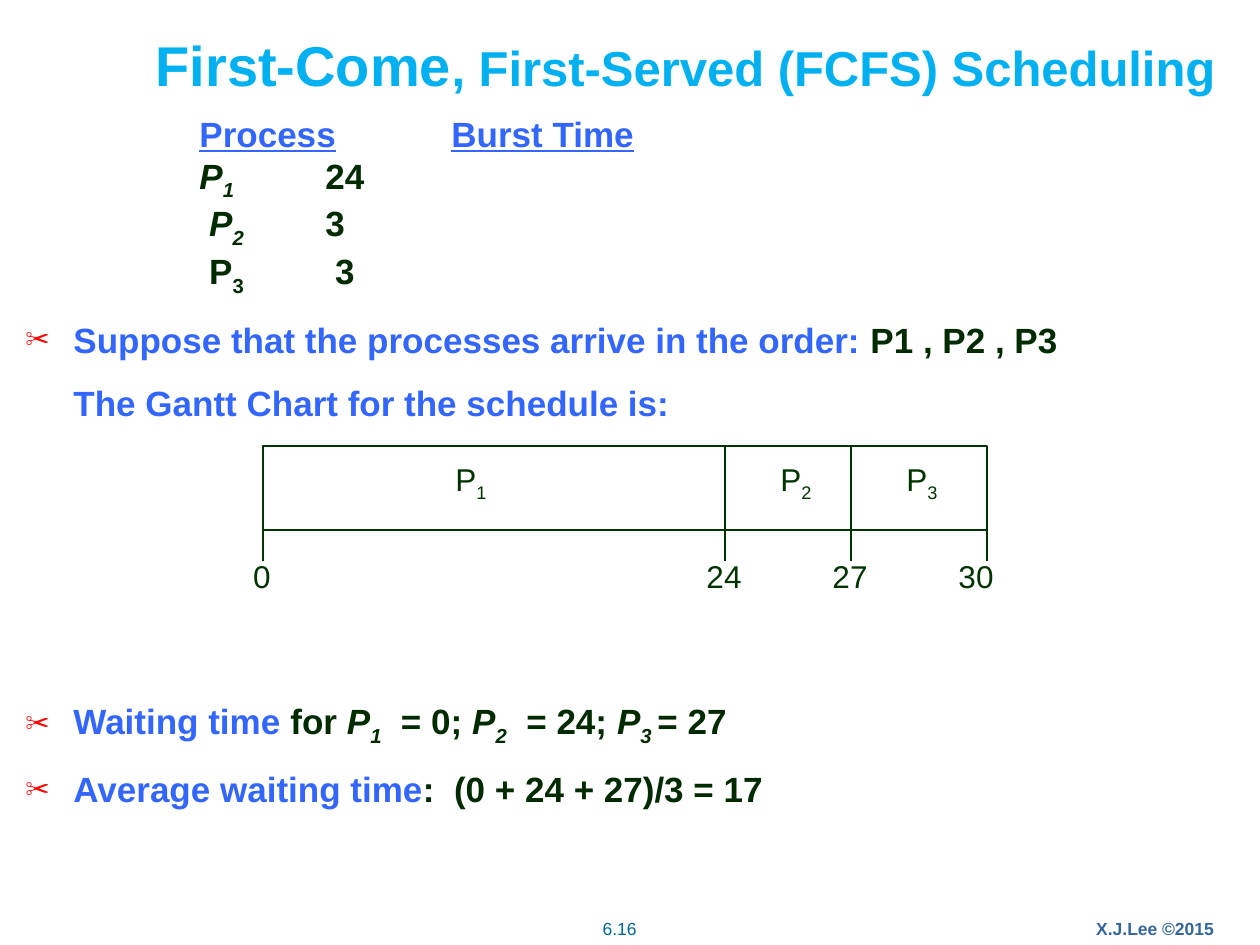
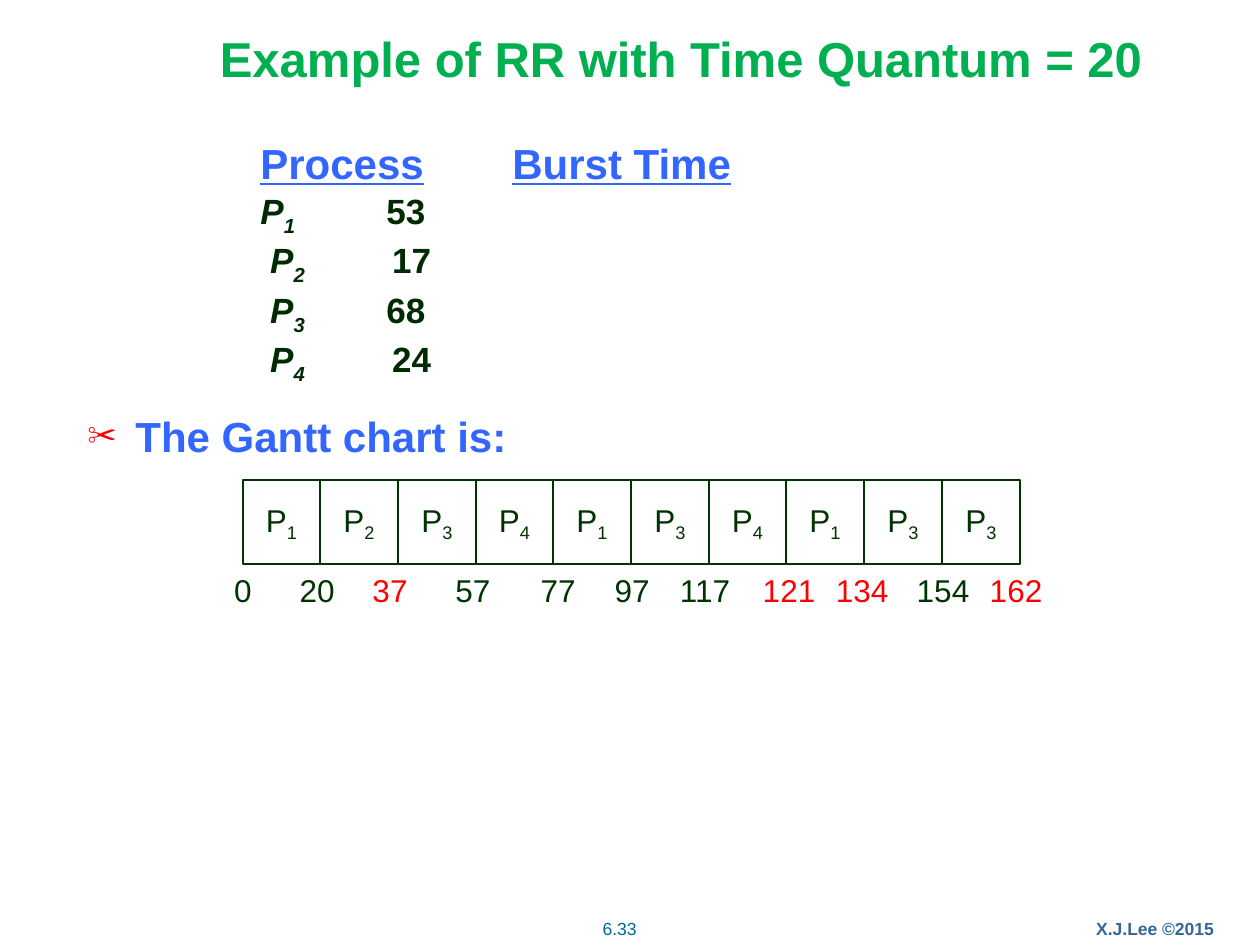
import pptx
import pptx.dml.color
import pptx.enum.shapes
import pptx.enum.text
import pptx.oxml.ns
import pptx.util
from lxml import etree

EMU_PER_PX = 914400 / 126
FONT = "Arial"
WHITE = "FFFFFF"
BLUE = "3366FF"
DARK = "002A00"
GREEN = "003300"
RED = "FF0000"
CENTER = pptx.enum.text.PP_ALIGN.CENTER
MIDDLE = pptx.enum.text.MSO_ANCHOR.MIDDLE
TOP = pptx.enum.text.MSO_ANCHOR.TOP
HANGING = 48
TAB_STEP = 126


def px(length):
    return pptx.util.Emu(round(length * EMU_PER_PX))


def rgb(color):
    return pptx.dml.color.RGBColor.from_string(color)


def add_element(parent, tag, **attributes):
    child = etree.SubElement(parent, pptx.oxml.ns.qn(tag))
    for name, value in attributes.items():
        child.set(name, str(value))
    return child


def format_run(run, size, color, bold=False, style=""):
    font = run.font
    font.name = FONT
    font.size = pptx.util.Pt(size)
    font.bold = bold
    font.color.rgb = rgb(color)
    if "i" in style:
        font.italic = True
    if "u" in style:
        font.underline = True
    if "s" in style:
        run._r.get_or_add_rPr().set("baseline", "-25000")


def add_pieces(paragraph, pieces, size, bold=True):
    for text, color, style in pieces:
        run = paragraph.add_run()
        run.text = text
        format_run(run, size, color, bold, style)


def add_box(shapes, left, top, width, height, anchor=TOP, wrap=True):
    box = shapes.add_textbox(px(left), px(top), px(width), px(height))
    box.text_frame.word_wrap = wrap
    box.text_frame.vertical_anchor = anchor
    return box.text_frame


def next_paragraph(frame, index, gap):
    if index == 0:
        return frame.paragraphs[0]
    paragraph = frame.add_paragraph()
    paragraph.space_before = pptx.util.Pt(gap)
    return paragraph


def add_title(slide, bounds, pieces):
    title = slide.shapes.title
    title.left, title.top, title.width, title.height = map(px, bounds)
    frame = title.text_frame
    frame.auto_size = pptx.enum.text.MSO_AUTO_SIZE.NONE
    frame.vertical_anchor = MIDDLE
    paragraph = frame.paragraphs[0]
    paragraph.alignment = CENTER
    for text, size, color in pieces:
        add_pieces(paragraph, [(text, color, "")], size)


def add_footer(slide, page):
    for text, left, width, color, bold in (
        ("X.J.Lee ©2015", 1071, 168, "336699", True),
        (page, 567, 105, "006699", False),
    ):
        frame = add_box(slide.shapes, left, 912, width, 32)
        frame.text = text
        frame.paragraphs[0].alignment = CENTER
        format_run(frame.paragraphs[0].runs[0], 10, color, bold)


def add_process_list(slide, left, top, heading_size, rows, gap):
    heading = [("Process", BLUE, "u"), ("\t", BLUE, ""), ("Burst Time", BLUE, "u")]
    frame = add_box(slide.shapes, left, top, 700, 48 * (len(rows) + 1))
    for index, pieces in enumerate([heading] + rows):
        paragraph = next_paragraph(frame, index, gap)
        tabs = add_element(paragraph._p.get_or_add_pPr(), "a:tabLst")
        for stop in (1, 2):
            add_element(tabs, "a:tab", pos=px(stop * TAB_STEP), algn="l")
        add_pieces(paragraph, pieces, 20 if index else heading_size)


def process_row(name, number, burst, style="i"):
    return [(name, DARK, style), (number, DARK, style + "s"), (burst, DARK, "")]


def add_points(slide, left, top, points, size=20, gap=12):
    frame = add_box(slide.shapes, left, top, 1100, 60 * len(points))
    for index, (bulleted, pieces) in enumerate(points):
        paragraph = next_paragraph(frame, index, gap)
        properties = paragraph._p.get_or_add_pPr()
        properties.set("marL", str(px(HANGING)))
        properties.set("indent", str(px(-HANGING) if bulleted else 0))
        if bulleted:
            add_element(add_element(properties, "a:buClr"), "a:srgbClr", val=RED)
            add_element(properties, "a:buSzPct", val=70000)
            add_element(properties, "a:buFont", typeface=FONT)
            add_element(properties, "a:buChar", char="✂")
        add_pieces(paragraph, pieces, size)


def add_bar(shapes, left, top, width, height):
    bar = shapes.add_shape(
        pptx.enum.shapes.MSO_SHAPE.RECTANGLE, px(left), px(top), px(width), px(height)
    )
    bar.shadow.inherit = False
    bar.fill.solid()
    bar.fill.fore_color.rgb = rgb(WHITE)
    bar.line.color.rgb = rgb(GREEN)
    bar.line.width = pptx.util.Pt(0.75)
    return bar.text_frame


def add_tick(shapes, x, top, bottom):
    tick = shapes.add_connector(
        pptx.enum.shapes.MSO_CONNECTOR.STRAIGHT, px(x), px(top), px(x), px(bottom)
    )
    tick.line.color.rgb = rgb(GREEN)
    tick.line.width = pptx.util.Pt(0.75)
    add_element(tick._element.spPr, "a:effectLst")


def write_process(frame, number):
    frame.word_wrap = False
    frame.vertical_anchor = MIDDLE
    paragraph = frame.paragraphs[0]
    paragraph.alignment = CENTER
    add_pieces(paragraph, [("P", GREEN, ""), (number, GREEN, "s")], 18, False)


def add_time(shapes, center, top, text, color=GREEN):
    width = 32 + 20 * len(text)
    frame = add_box(shapes, center - width / 2, top, width, 50, MIDDLE, False)
    frame.text = text
    frame.paragraphs[0].alignment = CENTER
    format_run(frame.paragraphs[0].runs[0], 18, color)


def add_fcfs_gantt(slide):
    shapes = slide.shapes.add_group_shape().shapes
    left, right, top, bottom = 263, 987, 446, 530
    dividers = (725, 851)
    add_bar(shapes, left, top, right - left, bottom - top)
    for center, number in ((471, "1"), (796, "2"), (922, "3")):
        write_process(add_box(shapes, center - 30, 454, 60, 55), number)
    for x in dividers:
        add_tick(shapes, x, top, bottom)
    for x in (left, *dividers, right):
        add_tick(shapes, x, bottom, 561)
    for center, time in ((262, "0"), (724, "24"), (850, "27"), (976, "30")):
        add_time(shapes, center, 551, time)


def add_rr_gantt(slide):
    shapes = slide.shapes.add_group_shape().shapes
    order = "1234134133"
    edges = [243 + 777 * index // len(order) for index in range(len(order) + 1)]
    for number, start, end in zip(order, edges, edges[1:]):
        write_process(add_bar(shapes, start, 480, end - start, 84), number)
    early_ends = ("37", "121", "134", "162")
    centers = (243, 317, 390, 473, 558, 632, 705, 789, 862, 943, 1016)
    times = "0 20 37 57 77 97 117 121 134 154 162".split()
    for center, time in zip(centers, times):
        add_time(shapes, center, 565, time, RED if time in early_ends else GREEN)


def build_fcfs(slide):
    add_title(slide, (111, 25, 1149, 79), [
        ("First-Come", 32, "00B0F0"),
        (", First-Served (FCFS) Scheduling", 28, "00B0F0"),
    ])
    add_process_list(slide, 187, 106, 20, [
        process_row("P", "1\t", "24"),
        process_row(" P", "2\t", "3"),
        process_row(" P", "3\t", " 3", ""),
    ], 0)
    add_points(slide, 13, 312, [
        (True, [("Suppose that the processes arrive in the order: ", BLUE, ""),
                ("P1 , P2 , P3", DARK, "")]),
        (False, [("The Gantt Chart for the schedule is:", BLUE, "")]),
    ])
    add_fcfs_gantt(slide)
    waiting = [("Waiting time ", BLUE, ""), ("for ", DARK, "")]
    for number, value in (("1", "  = 0; "), ("2", "  = 24; "), ("3 ", "= 27")):
        waiting += [("P", DARK, "i"), (number, DARK, "is"), (value, DARK, "")]
    add_points(slide, 13, 693, [
        (True, waiting),
        (True, [("Average waiting time", BLUE, ""),
                (":  (0 + 24 + 27)/3 = 17", DARK, "")]),
    ])
    add_footer(slide, "6.16")


def build_rr(slide):
    add_title(slide, (126, 0, 1110, 116), [
        ("Example of RR with Time Quantum = 20", 28, "00B050"),
    ])
    add_process_list(slide, 248, 131, 24, [
        process_row("P", "1\t", "53"),
        process_row(" P", "2\t ", "17"),
        process_row(" P", "3\t", "68"),
        process_row(" P", "4\t ", "24"),
    ], 1)
    add_points(slide, 75, 404, [(True, [("The Gantt chart is:", BLUE, "")])], 24)
    add_rr_gantt(slide)
    add_footer(slide, "6.33")


def main():
    deck = pptx.Presentation()
    deck.slide_width, deck.slide_height = px(1260), px(945)
    title_only = deck.slide_layouts[5]
    for build in (build_fcfs, build_rr):
        build(deck.slides.add_slide(title_only))
    deck.save("out.pptx")


if __name__ == "__main__":
    main()
